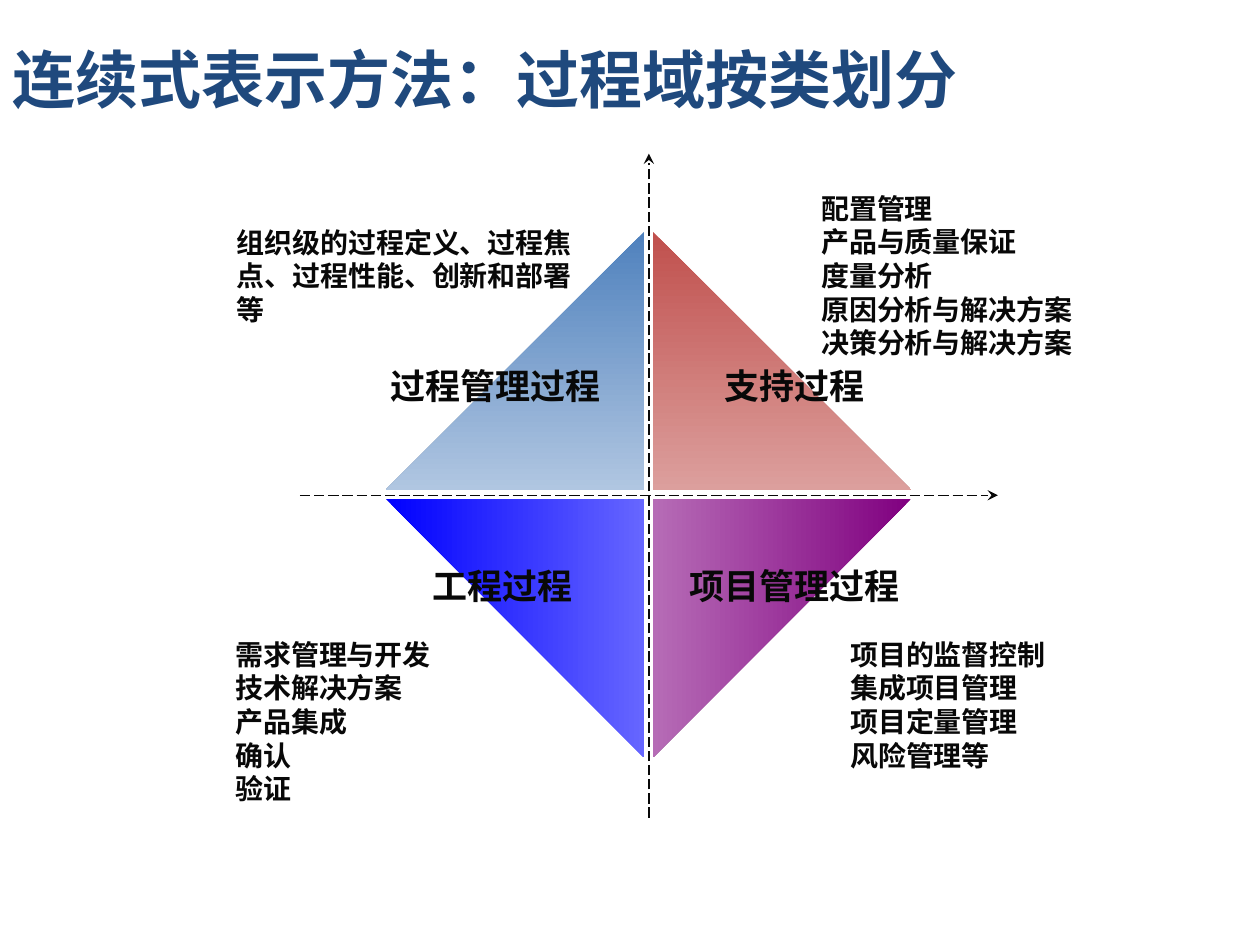
import pptx
from lxml import etree
from pptx.dml.color import RGBColor
from pptx.enum.dml import MSO_LINE
from pptx.enum.shapes import MSO_CONNECTOR, MSO_SHAPE
from pptx.enum.text import MSO_ANCHOR, MSO_AUTO_SIZE, PP_ALIGN
from pptx.oxml.ns import qn
from pptx.util import Pt

INK = RGBColor(0x08, 0x08, 0x08)
TITLE_BLUE = RGBColor(0x1F, 0x49, 0x7D)
STEEL, STEEL_LIGHT = RGBColor(0x4F, 0x81, 0xBD), RGBColor(0xB0, 0xC6, 0xE1)
RED, RED_LIGHT = RGBColor(0xC0, 0x50, 0x4D), RGBColor(0xDC, 0x9F, 0x9D)
PURPLE, PURPLE_LIGHT = RGBColor(0x80, 0x00, 0x80), RGBColor(0xB6, 0x6C, 0xB6)
BLUE, BLUE_LIGHT = RGBColor(0x00, 0x00, 0xFF), RGBColor(0x66, 0x66, 0xFF)

# Content
TITLE = "连续式表示方法：过程域按类划分"
# column, row, rotation, flipped, outer colour, inner colour
TRIANGLES = [
    (0, 0, 0, True, STEEL, STEEL_LIGHT),
    (1, 0, 0, False, RED, RED_LIGHT),
    (1, 1, 90, False, PURPLE, PURPLE_LIGHT),
    (0, 1, 270, True, BLUE, BLUE_LIGHT),
]
# label, left, top, width
CATEGORIES = [
    ("过程管理过程", 216, 204.5, 134.6),
    ("支持过程", 406.8, 204.5, 94.3),
    ("项目管理过程", 386.6, 319, 134.6),
    ("工程过程", 239.8, 319, 94.3),
]
# process areas, left, top, height
AREAS = [
    (["组织级的过程定义、过程焦点、过程性能、创新和部署等"], 128.2, 125.3, 64.8),
    (["配置管理", "产品与质量保证", "度量分析", "原因分析与解决方案", "决策分析与解决方案"],
     462.2, 105.8, 103.7),
    (["需求管理与开发", "技术解决方案", "产品集成", "确认", "验证"], 127.4, 360.7, 103.7),
    (["项目的监督控制", "集成项目管理", "项目定量管理", "风险管理等"], 478.8, 360.7, 84.2),
]
# start x, start y, end x, end y (the arrow is at the end)
AXES = [(370.8, 467.3, 370.8, 87.8), (171.4, 283, 570.2, 283)]

SIDE = 147.6
GAP = 5
LEFT, TOP = 220.5, 132.5


def format_text(shape, size, font_name, color, align):
    for para in shape.text_frame.paragraphs:
        para.alignment = align
        for span in para.runs:
            span.font.size = Pt(size)
            span.font.name = font_name
            span.font.bold = True
            span.font.color.rgb = color


def add_triangle(page, column, row, rotation, flipped, outer, inner):
    step = SIDE + GAP
    shape = page.shapes.add_shape(
        MSO_SHAPE.RIGHT_TRIANGLE, Pt(LEFT + column * step), Pt(TOP + row * step),
        Pt(SIDE), Pt(SIDE))
    shape.rotation = rotation
    if flipped:
        shape._element.spPr.find(qn("a:xfrm")).set("flipH", "1")
    shape.shadow.inherit = False
    shape.line.fill.background()
    shape.fill.gradient()
    shape.fill.gradient_angle = 270
    for stop, color in zip(shape.fill.gradient_stops, (outer, inner)):
        stop.color.rgb = color


def add_axis(page, ends):
    axis = page.shapes.add_connector(MSO_CONNECTOR.STRAIGHT, *map(Pt, ends))
    axis.line.width = Pt(0.75)
    axis.line.color.rgb = INK
    axis.line.dash_style = MSO_LINE.LONG_DASH
    properties = axis._element.spPr
    etree.SubElement(properties.find(qn("a:ln")), qn("a:tailEnd"), type="stealth")
    etree.SubElement(properties, qn("a:effectLst"))


def add_text(page, lines, left, top, width, height, size, align, wrap):
    box = page.shapes.add_textbox(Pt(left), Pt(top), Pt(width), Pt(height))
    frame = box.text_frame
    frame.word_wrap = wrap
    frame.auto_size = MSO_AUTO_SIZE.SHAPE_TO_FIT_TEXT
    frame.text = "\n".join(lines)
    format_text(box, size, "Arial", INK, align)


def main():
    deck = pptx.Presentation()
    deck.slide_width, deck.slide_height = Pt(720), Pt(540)
    page = deck.slides.add_slide(deck.slide_layouts[5])

    # Title
    title = page.shapes.title
    title.left, title.top, title.width, title.height = Pt(0), Pt(0), Pt(720), Pt(90)
    title.text_frame.text = TITLE
    title.text_frame.vertical_anchor = MSO_ANCHOR.MIDDLE
    format_text(title, 36, "Calibri", TITLE_BLUE, PP_ALIGN.LEFT)

    # Diamond and its axes
    for triangle in TRIANGLES:
        add_triangle(page, *triangle)
    for ends in AXES:
        add_axis(page, ends)

    # Category names and their process areas
    for label, left, top, width in CATEGORIES:
        add_text(page, [label], left, top, width, 31, 20, PP_ALIGN.CENTER, False)
    for lines, left, top, height in AREAS:
        add_text(page, lines, left, top, 210.2, height, 16, PP_ALIGN.LEFT, True)

    deck.save("out.pptx")


if __name__ == "__main__":
    main()
